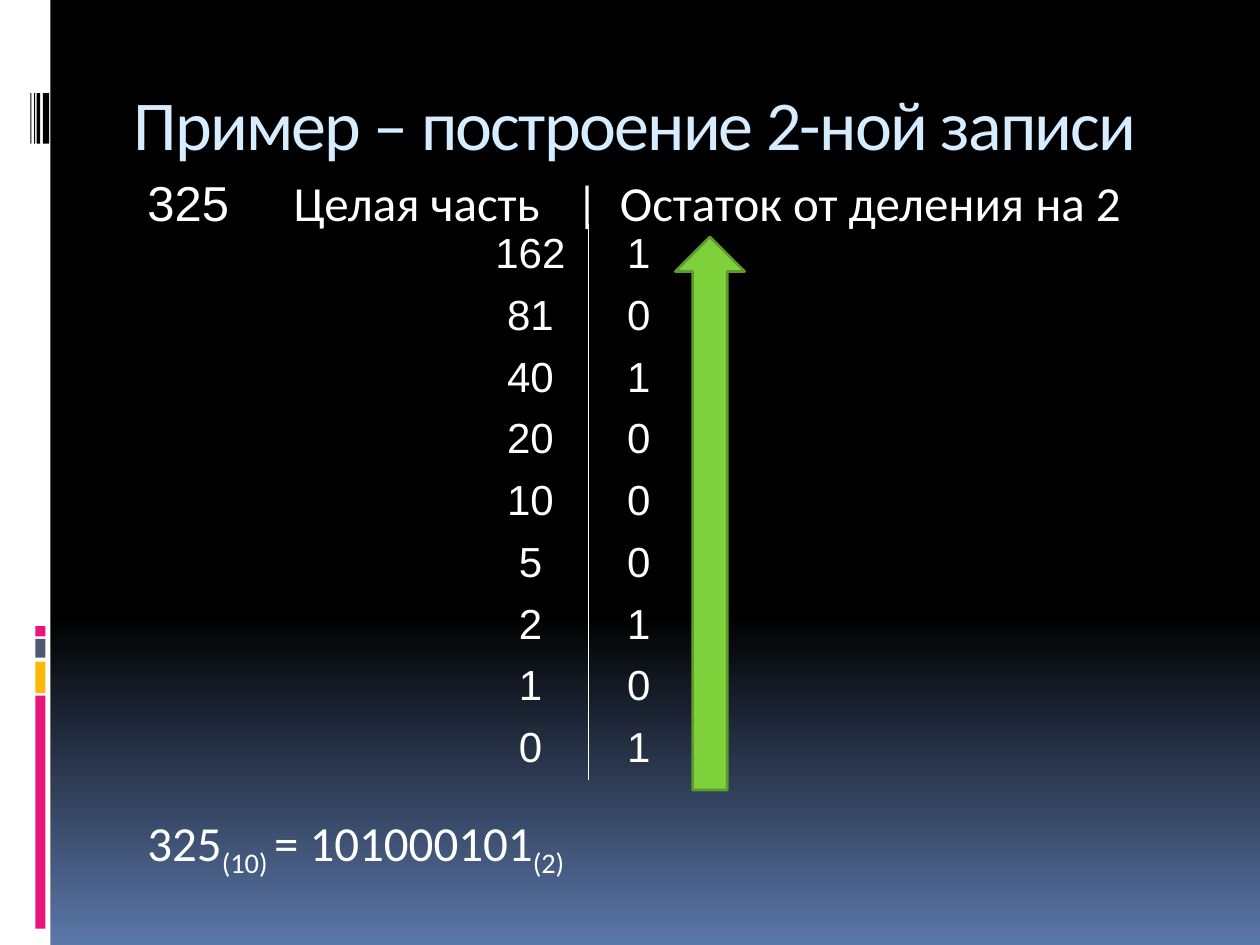
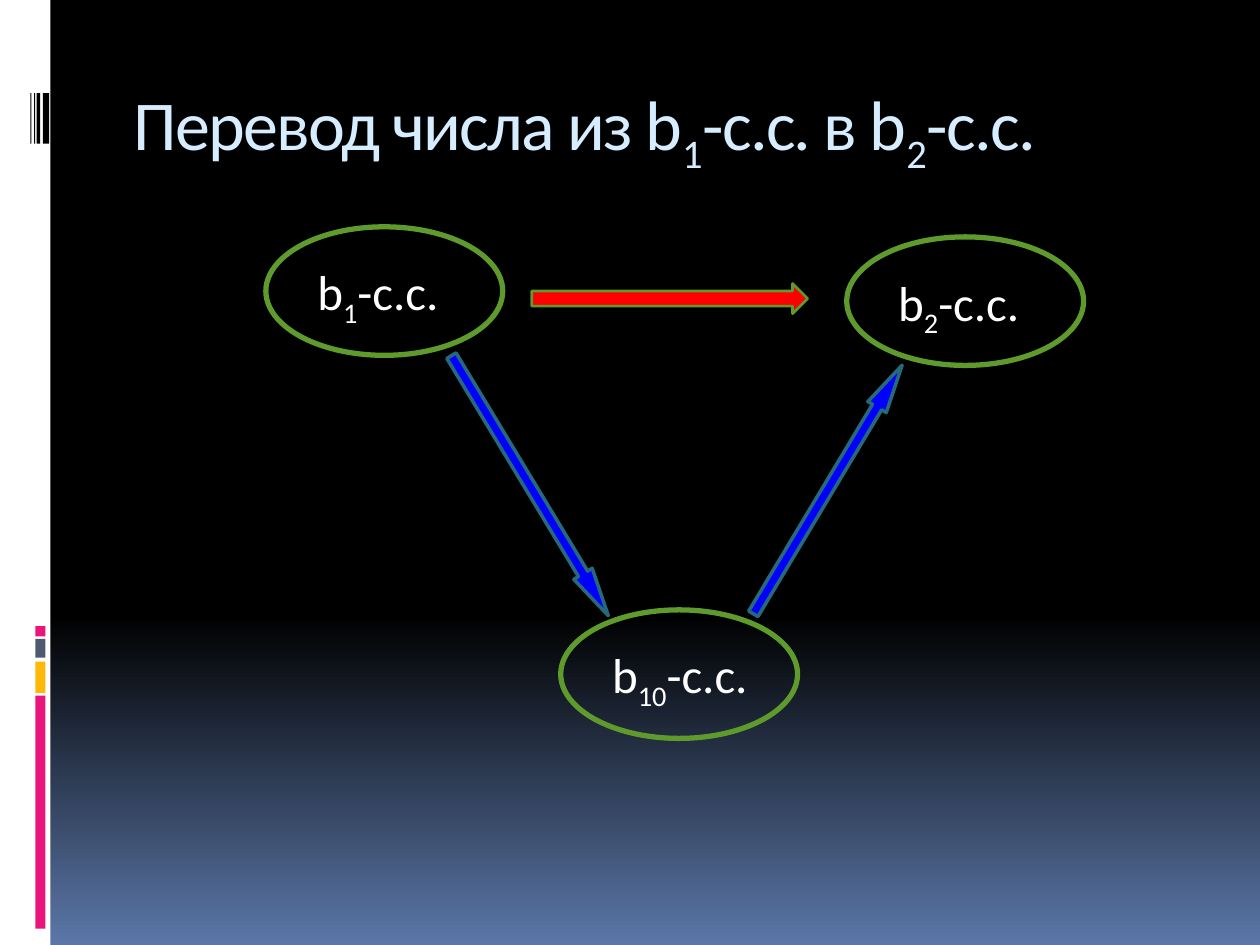
import copy

import pptx
import pptx.dml.color
import pptx.enum.shapes
import pptx.enum.text
import pptx.oxml
import pptx.oxml.ns
import pptx.util

Inches = pptx.util.Inches
Pt = pptx.util.Pt
SHAPE = pptx.enum.shapes.MSO_SHAPE
qn = pptx.oxml.ns.qn

COLORS = {
    "black": "000000", "sky": "5B77A8", "white": "FFFFFF", "title": "D6ECFF",
    "pink": "EA157A", "amber": "FEB80A", "slate": "4E5B6F",
    "green": "7FD13B", "dark_green": "5E9B2C",
    "red": "FF0000", "blue": "0000FF", "teal": "26697A",
}
NO_GRID_STYLE = "{2D5ABB26-0587-4C30-8999-92F81FD0307C}"
DIVISIONS = [(162, 1), (81, 0), (40, 1), (20, 0), (10, 0), (5, 0), (2, 1), (1, 0), (0, 1)]


def rgb(name):
    """Return a palette colour."""
    return pptx.dml.color.RGBColor.from_string(COLORS[name])


def style_run(r, size, color="white", font="Calibri"):
    """Set the font of a run."""
    r.font.name, r.font.size = font, Pt(size)
    r.font.color.rgb = rgb(color)


def add_box(shapes, box, insets=(0.1, 0.05)):
    """Add an empty wrapped text box and return its first paragraph."""
    tf = shapes.add_textbox(*map(Inches, box)).text_frame
    tf.word_wrap = True
    tf.margin_left, tf.margin_top = map(Inches, insets)
    return tf.paragraphs[0]


def add_indexed_text(p, parts, size, color="white"):
    """Write parts that alternate between plain text and subscript."""
    for i, part in enumerate(parts):
        r = p.add_run()
        r.text = part
        style_run(r, size, color)
        if i % 2:
            r.font._element.set("baseline", "-25000")


def add_figure(shapes, kind, box, fill=None, line=None, width=1.5, rotation=0):
    """Add a preset shape without shadow."""
    sp = shapes.add_shape(kind, *map(Inches, box))
    sp.shadow.inherit = False
    sp.rotation = rotation
    if fill:
        sp.fill.solid()
        sp.fill.fore_color.rgb = rgb(fill)
    else:
        sp.fill.background()
    if line:
        sp.line.color.rgb = rgb(line)
        sp.line.width = Pt(width)
    else:
        sp.line.fill.background()
    return sp


def paint_background(s):
    """Fade the slide from black to blue over its lower third."""
    fill = s.background.fill
    fill.gradient()
    fill.gradient_angle = 270
    first = s.element.find(".//" + qn("a:gs"))
    first.addnext(copy.deepcopy(first))
    stops = [(0, "black"), (0.65, "black"), (1, "sky")]
    for stop, (position, color) in zip(fill.gradient_stops, stops):
        stop.position = position
        stop.color.rgb = rgb(color)


def add_side_band(s):
    """Add the white band with its coloured blocks and barcode."""
    add_figure(s.shapes, SHAPE.RECTANGLE, (0, 0, 0.4, 7.5), "white")
    blocks = [(5.52, 1.85, "pink"), (5.25, 0.25, "amber"),
              (5.07, 0.15, "slate"), (4.97, 0.08, "pink")]
    for top, height, color in blocks:
        add_figure(s.shapes, SHAPE.RECTANGLE, (0.28, top, 0.08, height), color)
    for left, width in [(0.34, 0.05), (0.29, 0.03), (0.27, 0.01), (0.24, 0.01)]:
        add_figure(s.shapes, SHAPE.RECTANGLE, (left, 0.74, width, 0.4), "black")


def add_base_slide(prs, title):
    """Add a slide with the shared background, band and title."""
    s = prs.slides.add_slide(prs.slide_layouts[6])
    paint_background(s)
    add_side_band(s)
    p = add_box(s.shapes, (1, 0.56, 8.5, 1), (0.06, 0.08))
    add_indexed_text(p, title, 40, "title")
    for r in p.runs:
        r.font._element.set("spc", "-100")
    return s


def add_heading_row(s, box):
    """Write the number and the column headings on tab stops."""
    p = add_box(s.shapes, box, (0.17, 0.06))
    tabs = pptx.oxml.parse_xml(f"<a:tabLst {pptx.oxml.ns.nsdecls('a')}/>")
    for stop in (1.16, 3.4, 3.75):
        tab = tabs.makeelement(qn("a:tab"), {"pos": str(Inches(stop)), "algn": "l"})
        tabs.append(tab)
    p._p.get_or_add_pPr().append(tabs)
    for text, font in [("325", "Arial"), ("\tЦелая часть\t|\tОстаток от деления на 2", "Calibri")]:
        r = p.add_run()
        r.text = text
        style_run(r, 28, font=font)


def add_cell_border(cell, side):
    """Draw a thin white border on one side of a cell."""
    border = pptx.oxml.parse_xml(
        f'<a:{side} {pptx.oxml.ns.nsdecls("a")} w="12700"><a:solidFill>'
        f'<a:srgbClr val="{COLORS["white"]}"/></a:solidFill></a:{side}>')
    cell._tc.get_or_add_tcPr().insert(0, border)


def add_division_table(s, left, top, widths, row_height):
    """Tabulate the quotients and remainders."""
    rows = len(DIVISIONS)
    frame = s.shapes.add_table(rows, 2, Inches(left), Inches(top),
                               Inches(sum(widths)), Inches(row_height * rows))
    table = frame.table
    table.first_row = table.horz_banding = False
    frame._element.find(".//" + qn("a:tableStyleId")).text = NO_GRID_STYLE
    for column, width in zip(table.columns, widths):
        column.width = Inches(width)
    for i, values in enumerate(DIVISIONS):
        for j, value in enumerate(values):
            cell = table.cell(i, j)
            cell.fill.background()
            cell.margin_top, cell.margin_bottom = Inches(0.05), Inches(0.04)
            p = cell.text_frame.paragraphs[0]
            p.text = str(value)
            p.alignment = pptx.enum.text.PP_ALIGN.CENTER
            style_run(p.runs[0], 24, font="Arial")
            add_cell_border(cell, ("lnR", "lnL")[j])


def add_system_node(s, left, top, index):
    """Add an ellipse labelled with a numeral system."""
    group = s.shapes.add_group_shape()
    add_figure(group.shapes, SHAPE.OVAL, (left, top, 1.88, 1.02), line="dark_green", width=3)
    p = add_box(group.shapes, (left + 0.31, top + 0.23, 1.48, 0.57))
    add_indexed_text(p, ["b", index, "-с.с."], 28)


def build_example_slide(prs):
    """Build the worked binary example."""
    s = add_base_slide(prs, ["Пример – построение 2-ной записи"])
    add_heading_row(s, (1, 1.31, 8.5, 0.6))
    p = add_box(s.shapes, (1, 6.4, 8.5, 0.6), (0.17, 0.05))
    add_indexed_text(p, ["325", "(10) ", "= 101000101", "(2)"], 28)
    add_division_table(s, 3.75, 1.78, (0.92, 0.8), 0.47)
    add_figure(s.shapes, SHAPE.UP_ARROW, (5.36, 1.88, 0.55, 4.39), "green", "dark_green")


def build_conversion_slide(prs):
    """Build the diagram of conversion through base ten."""
    s = add_base_slide(prs, ["Перевод числа из b", "1", "-с.с. в b", "2", "-с.с."])
    for left, top, index in [(2.11, 1.8, "1"), (6.72, 1.88, "2"), (4.45, 4.84, "10")]:
        add_system_node(s, left, top, index)
    add_figure(s.shapes, SHAPE.RIGHT_ARROW, (4.22, 2.25, 2.19, 0.24), "red", "dark_green")
    for box, rotation in [((3, 3.77, 2.41, 0.17), 58.9), ((5.42, 3.8, 2.3, 0.17), 300.9)]:
        sp = add_figure(s.shapes, SHAPE.RIGHT_ARROW, box, "blue", "teal", 2, rotation)
        sp.adjustments[1] = 2.28


def main():
    """Build and save the presentation."""
    prs = pptx.Presentation()
    prs.slide_width, prs.slide_height = Inches(10), Inches(7.5)
    build_example_slide(prs)
    build_conversion_slide(prs)
    prs.save("out.pptx")


if __name__ == "__main__":
    main()
